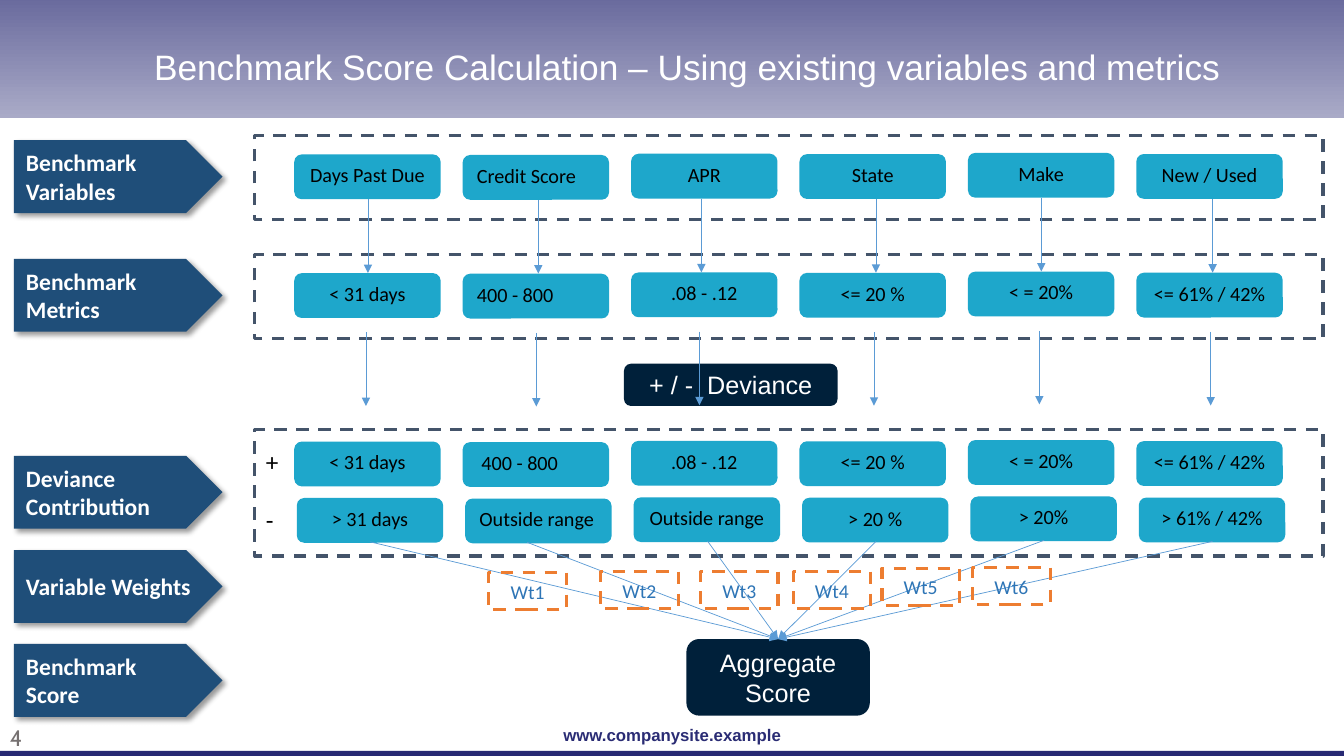
from pptx import Presentation
from pptx.dml.color import RGBColor
from pptx.enum.dml import MSO_LINE
from pptx.enum.shapes import MSO_CONNECTOR, MSO_SHAPE
from pptx.enum.text import MSO_ANCHOR, PP_ALIGN
from pptx.oxml import parse_xml
from pptx.oxml.ns import nsdecls, qn
from pptx.util import Pt

CELL_W, CELL_H, PITCH = 104.6, 32, 120.3
JOG = [0, 0.4, -0.5, -0.2, -1.1, -0.3]  # slight vertical offset of each column
FLOW_X = [262.8, 384.5, 501, 625.7, 743.8, 866.2]
MERGE_X = [264.2, 376.6, 505.4, 625.7, 745.9, 866.2]
WEIGHTS = [(349.2, 409), (429.1, 408.3), (500.4, 408.3),
           (566.6, 408.3), (630, 406.1), (694.8, 405.4)]

VARIABLES = ["Days Past Due", "Credit Score", "APR", "State", "Make", "New / Used"]
LIMITS = ["< 31 days", "400 - 800", ".08 - .12", "<= 20 %", "< = 20%", "<= 61% / 42%"]
INSIDE = [LIMITS[0], " 400 - 800", *LIMITS[2:]]
OUTSIDE = ["> 31 days", "Outside range", "Outside range", "> 20 %", "> 20%", "> 61% / 42%"]
LABELS = [("Benchmark\nVariables", 100.2), ("Benchmark\nMetrics", 185),
          ("Deviance Contribution", 325.6), ("Variable Weights", 392.9),
          ("Benchmark Score", 460)]


def rgb(color):
    return RGBColor.from_string(color)


def write(sp, text, size, color, font="Calibri", bold=False,
          align=PP_ALIGN.CENTER, anchor=MSO_ANCHOR.MIDDLE, inset=None):
    tf = sp.text_frame
    tf.text = text
    tf.word_wrap = True
    tf.vertical_anchor = anchor
    if inset:
        tf.margin_left = tf.margin_right = Pt(inset[0])
        tf.margin_top = tf.margin_bottom = Pt(inset[1])
    for p in tf.paragraphs:
        p.alignment = align
        for r in p.runs:
            r.font.size, r.font.name, r.font.bold = Pt(size), font, bold
            r.font.color.rgb = rgb(color)


def add_block(s, kind, x, y, w, h, fill=None, dash=None):
    sp = s.shapes.add_shape(kind, Pt(x), Pt(y), Pt(w), Pt(h))
    sp.shadow.inherit = False
    if fill:
        sp.fill.solid()
        sp.fill.fore_color.rgb = rgb(fill)
    else:
        sp.fill.background()
    if dash:
        sp.line.color.rgb = rgb(dash)
        sp.line.width = Pt(2.25)
        sp.line.dash_style = MSO_LINE.DASH
    else:
        sp.line.fill.background()
    return sp


def add_text(s, x, y, w, h, text, size, color, **style):
    sp = s.shapes.add_textbox(Pt(x), Pt(y), Pt(w), Pt(h))
    write(sp, text, size, color, anchor=MSO_ANCHOR.TOP, **style)


def add_arrow(s, x1, y1, x2, y2):
    c = s.shapes.add_connector(MSO_CONNECTOR.STRAIGHT, Pt(x1), Pt(y1), Pt(x2), Pt(y2))
    c.line.color.rgb = rgb("5B9BD5")
    c.line.width = Pt(0.5)
    spPr = c.element.spPr
    spPr.find(qn("a:ln")).append(parse_xml(f'<a:tailEnd {nsdecls("a")} type="triangle"/>'))
    spPr.append(parse_xml(f'<a:effectLst {nsdecls("a")}/>'))


def add_header(s, x, y, w, h):
    band = add_block(s, MSO_SHAPE.RECTANGLE, x, y, w, h, fill="696A9D")
    band.fill.gradient()
    band.fill.gradient_angle = 270
    for stop, color in zip(band.fill.gradient_stops, ["696A9D", "A9AAC7"]):
        stop.color.rgb = rgb(color)
    title = s.shapes.title
    title.left, title.top, title.width, title.height = Pt(x + 77), Pt(y + 24.3), Pt(828), Pt(54.7)
    write(title, "Benchmark Score Calculation – Using existing variables and metrics",
          25.2, "FFFFFF", "Arial")
    title.text_frame.paragraphs[0].line_spacing = 0.9
    s.shapes.element.append(title.element)  # title in front of the band


def add_footer(s, x, y, w, h):
    add_block(s, MSO_SHAPE.RECTANGLE, x, y + h - 3.6, w, 3.6, fill="272973")
    add_text(s, x + 364.3, y + 0.7, 231.8, 21.6, "www.companysite.example", 12, "2A2C74",
             font="Arial", bold=True)
    add_text(s, x, y, 71.3, 26.6, "4", 16, "767171", font="Cabin", align=PP_ALIGN.LEFT)


def add_label(s, x, y, w, h, text):
    sp = add_block(s, MSO_SHAPE.PENTAGON, x, y, w, h, fill="1F4E79")
    sp.element.spPr.find(qn("a:effectLst")).append(parse_xml(
        f'<a:outerShdw {nsdecls("a")} blurRad="50800" dist="38100" dir="2700000" algn="tl">'
        '<a:srgbClr val="000000"><a:alpha val="40000"/></a:srgbClr></a:outerShdw>'))
    write(sp, text, 16.8, "FFFFFF", bold=True, align=PP_ALIGN.LEFT, inset=(8.6, 4.3))


def add_panel(s, x, y, w, h, rows):
    """Dashed frame; each row is (left offset, top offset, texts)."""
    add_block(s, MSO_SHAPE.RECTANGLE, x, y, w, h, dash="44546A")
    for dx, dy, texts in rows:
        for i, (text, jog) in enumerate(zip(texts, JOG)):
            sp = add_block(s, MSO_SHAPE.ROUNDED_RECTANGLE, x + dx + i * PITCH,
                           y + dy + jog, CELL_W, CELL_H, fill="1EA7CB")
            write(sp, text, 14.4, "000000", anchor=MSO_ANCHOR.TOP, inset=(8.6, 4.3),
                  align=PP_ALIGN.LEFT if i == 1 else PP_ALIGN.CENTER)


def add_dark_box(s, x, y, w, h, text):
    sp = add_block(s, MSO_SHAPE.ROUNDED_RECTANGLE, x, y, w, h, fill="00203A")
    write(sp, text, 18, "FFFFFF", "Arial", inset=(8.6, 4.3))


def add_flow(s, dx, y, h):
    for x, jog in zip(FLOW_X, JOG):
        add_arrow(s, x + dx, y + jog, x + dx, y + jog + h)


def add_score(s, x, y, w, h):
    add_dark_box(s, x, y, w, h, "Aggregate Score")
    for start, jog in zip(MERGE_X, JOG):
        add_arrow(s, start, y - 69.5 + jog, x + w / 2, y)
    for i, (left, top) in enumerate(WEIGHTS, 1):
        sp = add_block(s, MSO_SHAPE.RECTANGLE, left, top, 55.4, 26.6, dash="ED7D31")
        write(sp, f"Wt{i}", 14, "2E75B6")


def main():
    prs = Presentation()
    prs.slide_width, prs.slide_height = Pt(960), Pt(540)
    s = prs.slides.add_slide(prs.slide_layouts[5])

    # Frame of the slide
    add_header(s, 0, -2, 960, 86)
    add_footer(s, 0, 513.4, 960, 26.6)

    # Row labels on the left
    for text, y in LABELS:
        add_label(s, 10, y, 149, 52, text)

    # Variables, metrics and deviance panels
    add_panel(s, 182, 97, 763, 60, [(28.2, 13.3, VARIABLES)])
    add_panel(s, 182, 182, 763, 60, [(28.2, 13.1, LIMITS)])
    add_dark_box(s, 445.7, 259.8, 152.6, 30.2, "+ / -  Deviance")
    add_panel(s, 182, 306.7, 763, 90.5, [(28.2, 8.7, INSIDE), (30, 49, OUTSIDE)])
    for sign, y in [("+", 315.4), ("-", 357)]:
        add_text(s, 182.9, y, 24, 29, sign, 18, "000000", align=PP_ALIGN.LEFT)

    # Arrows between panels, then the weighted score
    add_flow(s, 0, 142.4, 52.6)
    add_flow(s, -1.4, 237.4, 52.6)
    add_score(s, 490.3, 456.5, 131, 54.7)

    prs.save("out.pptx")


if __name__ == "__main__":
    main()
